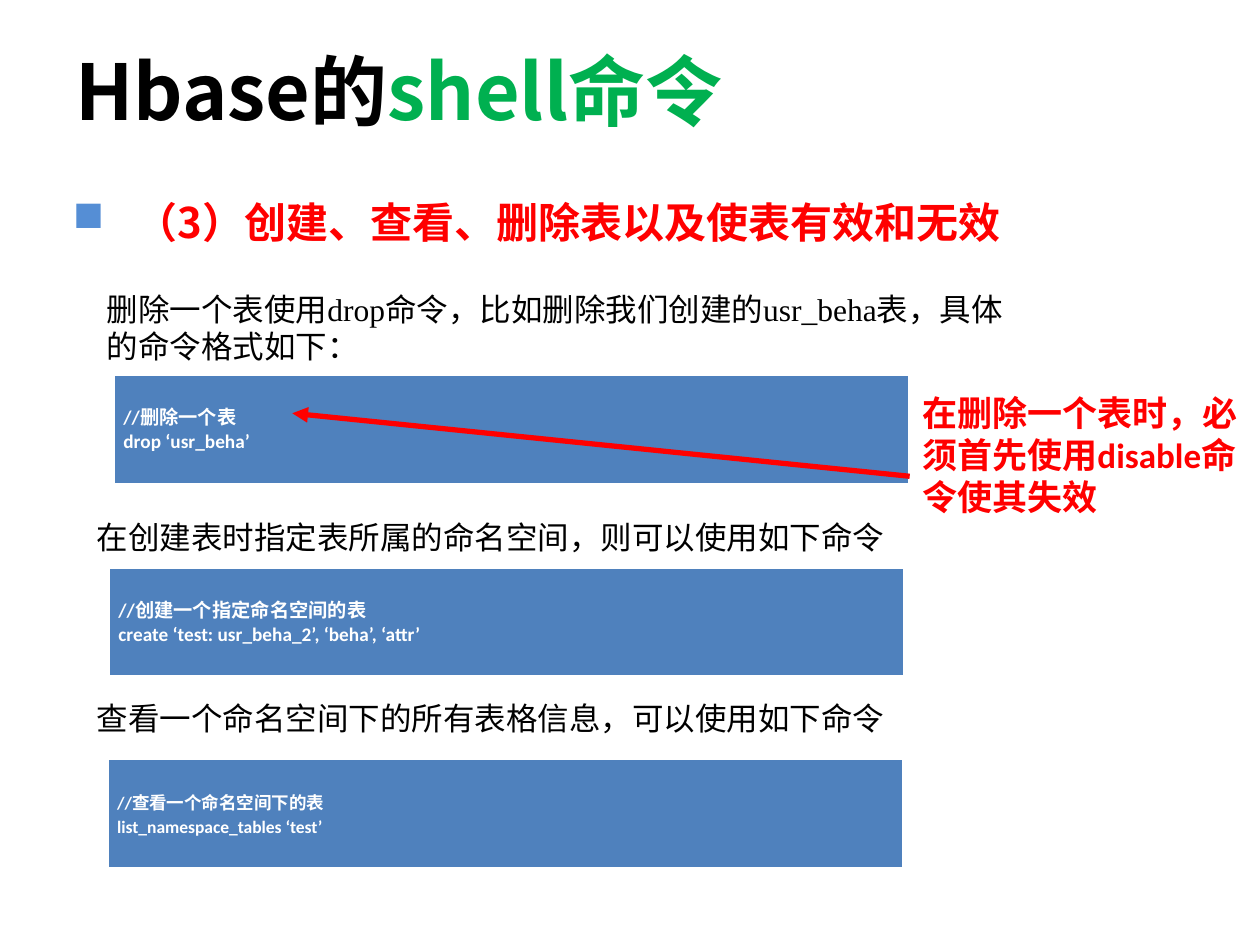
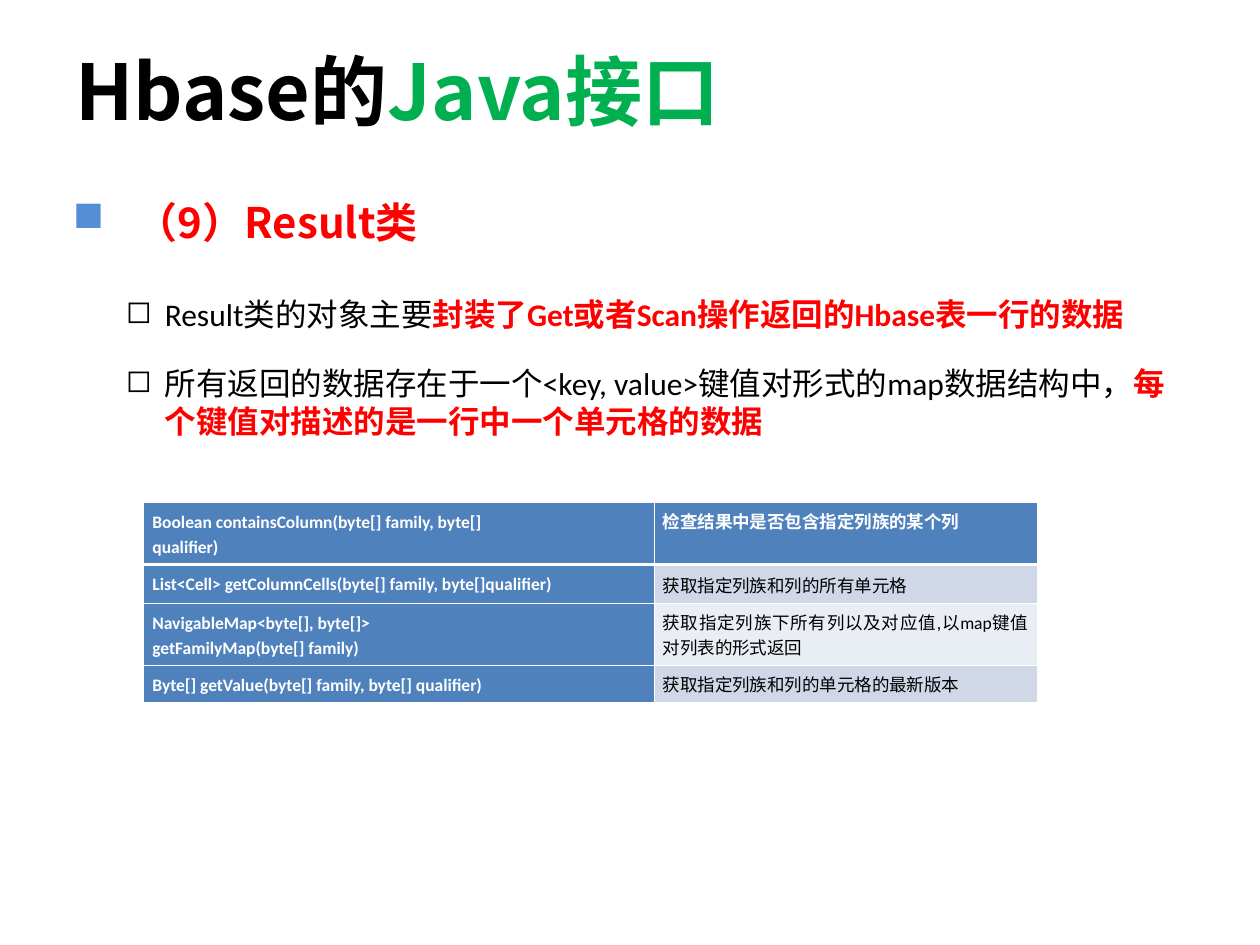
from dataclasses import dataclass

from lxml import etree
from pptx import Presentation
from pptx.dml.color import RGBColor
from pptx.enum.lang import MSO_LANGUAGE_ID
from pptx.enum.shapes import MSO_CONNECTOR
from pptx.enum.text import MSO_ANCHOR, PP_ALIGN
from pptx.oxml.ns import qn
from pptx.util import Inches, Pt

STRAIGHT = MSO_CONNECTOR.STRAIGHT
TOP = MSO_ANCHOR.TOP
MIDDLE = MSO_ANCHOR.MIDDLE
JUSTIFY = PP_ALIGN.JUSTIFY
CHINESE = MSO_LANGUAGE_ID.SIMPLIFIED_CHINESE


@dataclass(frozen=True)
class Theme:
    black: str = "000000"
    white: str = "FFFFFF"
    green: str = "00B050"
    red: str = "FF0000"
    bullet_blue: str = "558ED5"
    table_blue: str = "4F81BD"
    band_dark: str = "D0D8E8"
    band_light: str = "E9EDF4"
    heading_font: str = "Noto Sans CJK SC"
    body_font: str = "Calibri"
    prose_font: str = "Times New Roman"
    title_size: float = 44
    heading_size: float = 24
    callout_size: float = 20
    body_size: float = 18
    code_size: float = 11
    small_size: float = 10
    thin_rule: float = 0.45
    heavy_rule: float = 1.47


class Deck:
    def __init__(self, theme):
        self.theme = theme
        self.presentation = Presentation()
        self.presentation.slide_width = Inches(10)
        self.presentation.slide_height = Inches(7.5)
        self.slide = None

    def new_slide(self, topic, heading):
        t = self.theme
        self.slide = self.presentation.slides.add_slide(self.presentation.slide_layouts[6])
        self.bullets(0.48, 1.51, 9.44, 0.5, [[(heading, t.red, True)]], "■",
                     t.bullet_blue, 0.5, t.heading_size, t.heading_font)
        self.text(0.5, 0.3, 9, 1.25, [("Hbase的", t.black, True), (topic, t.green, True)],
                  t.title_size, t.heading_font)

    def frame(self, left, top, width, height):
        box = self.slide.shapes.add_textbox(Inches(left), Inches(top), Inches(width), Inches(height))
        box.text_frame.word_wrap = True
        return box.text_frame

    def add_runs(self, paragraph, pieces, size, face):
        asian_face = self.theme.heading_font if face == self.theme.heading_font else self.theme.body_font
        for words, color, bold in pieces:
            run = paragraph.add_run()
            run.text = words
            font = run.font
            font.size, font.name, font.bold = Pt(size), face, bold
            font.color.rgb = RGBColor.from_string(color)
            font.language_id = CHINESE
            latin = run._r.rPr.find(qn("a:latin"))
            latin.addnext(latin.makeelement(qn("a:ea"), {"typeface": asian_face}))

    def text(self, left, top, width, height, pieces, size, face):
        frame = self.frame(left, top, width, height)
        self.add_runs(frame.paragraphs[0], pieces, size, face)

    def prose(self, left, top, width, height, words):
        t = self.theme
        self.text(left, top, width, height, [(words, t.black, False)], t.body_size, t.prose_font)

    def bullets(self, left, top, width, height, items, mark, mark_color, indent, size, face):
        frame = self.frame(left, top, width, height)
        for index, pieces in enumerate(items):
            paragraph = frame.paragraphs[0] if index == 0 else frame.add_paragraph()
            properties = paragraph._p.get_or_add_pPr()
            properties.set("marL", str(Inches(indent)))
            properties.set("indent", str(-Inches(indent)))
            tint = etree.SubElement(properties, qn("a:buClr"))
            etree.SubElement(tint, qn("a:srgbClr"), val=mark_color)
            etree.SubElement(properties, qn("a:buChar"), char=mark)
            if index:
                paragraph.space_before = Pt(18)
            self.add_runs(paragraph, pieces, size, face)

    def arrow(self, start, end):
        points = [Inches(value) for value in (*start, *end)]
        connector = self.slide.shapes.add_connector(STRAIGHT, *points)
        connector.line.color.rgb = RGBColor.from_string(self.theme.red)
        connector.line.width = Pt(3)
        properties = connector._element.spPr
        etree.SubElement(properties.find(qn("a:ln")), qn("a:tailEnd"), type="triangle")
        etree.SubElement(properties, qn("a:effectLst"))

    def borders(self, cell, row):
        t = self.theme
        heavy = {0: "B", 1: "T"}.get(row)
        properties = cell._tc.get_or_add_tcPr()
        for index, side in enumerate("LRTB"):
            width = t.heavy_rule if side == heavy else t.thin_rule
            edge = properties.makeelement(qn(f"a:ln{side}"), {"w": str(Pt(width))})
            fill = etree.SubElement(edge, qn("a:solidFill"))
            etree.SubElement(fill, qn("a:srgbClr"), val=t.white)
            properties.insert(index, edge)

    def table(self, left, top, widths, heights, rows, size, anchor=TOP):
        t = self.theme
        grid = self.slide.shapes.add_table(
            len(heights), len(widths), Inches(left), Inches(top),
            Inches(sum(widths)), Inches(sum(heights))).table
        grid.first_row = grid.horz_banding = False
        for column, width in zip(grid.columns, widths):
            column.width = Inches(width)
        for r, (height, texts) in enumerate(zip(heights, rows)):
            grid.rows[r].height = Inches(height)
            for c, words in enumerate(texts):
                strong = r == 0 or c == 0
                band = t.band_dark if r % 2 else t.band_light
                cell = grid.cell(r, c)
                cell.fill.solid()
                cell.fill.fore_color.rgb = RGBColor.from_string(t.table_blue if strong else band)
                cell.vertical_anchor = anchor
                cell.margin_left = cell.margin_right = Inches(0.07)
                cell.margin_top = cell.margin_bottom = Inches(0.05)
                self.borders(cell, r)
                for index, line in enumerate(words.split("\n")):
                    frame = cell.text_frame
                    paragraph = frame.paragraphs[0] if index == 0 else frame.add_paragraph()
                    paragraph.alignment = JUSTIFY
                    paragraph.line_spacing = Pt(14)
                    self.add_runs(paragraph, [(line, t.white if strong else t.black, strong)],
                                  size, t.body_font)
        return grid

    def code(self, left, top, words, size):
        self.table(left, top, [6.3], [0.86], [[words]], size, MIDDLE)


def shell_slide(deck):
    t = deck.theme
    deck.new_slide("shell命令", "（3）创建、查看、删除表以及使表有效和无效")
    deck.prose(0.75, 2.25, 7.48, 0.7, "删除一个表使用drop命令，比如删除我们创建的usr_beha表，具体的命令格式如下：")
    deck.code(0.91, 2.98, "//删除一个表\ndrop ‘usr_beha’", t.code_size)
    deck.text(7.22, 3.06, 2.78, 1.44,
              [("在删除一个表时，必须首先使用disable命令使其失效", t.red, True)],
              t.callout_size, t.body_font)
    deck.arrow((7.22, 3.78), (2.32, 3.28))
    deck.prose(0.67, 4.06, 6.69, 0.4, "在创建表时指定表所属的命名空间，则可以使用如下命令")
    deck.code(0.87, 4.51, "//创建一个指定命名空间的表\ncreate ‘test: usr_beha_2’, ‘beha’, ‘attr’", t.code_size)
    deck.prose(0.67, 5.5, 7.17, 0.4, "查看一个命名空间下的所有表格信息，可以使用如下命令")
    deck.code(0.86, 6.03, "//查看一个命名空间下的表\nlist_namespace_tables ‘test’", t.small_size)


def java_slide(deck):
    t = deck.theme
    deck.new_slide("Java接口", "（9）Result类")
    result_points = [
        [("Result类的对象主要", t.black, False),
         ("封装了Get或者Scan操作返回的Hbase表一行的数据", t.red, True)],
        [("所有返回的数据存在于一个<key, value>键值对形式的map数据结构中，", t.black, False),
         ("每个键值对描述的是一行中一个单元格的数据", t.red, True)],
    ]
    deck.bullets(0.9, 2.29, 8.6, 1.8, result_points, "◻", t.black, 0.31, t.body_size, t.body_font)
    methods = [
        ("Boolean containsColumn(byte[] family, byte[]\nqualifier)", "检查结果中是否包含指定列族的某个列"),
        ("List<Cell> getColumnCells(byte[] family, byte[]qualifier)", "获取指定列族和列的所有单元格"),
        ("NavigableMap<byte[], byte[]>\ngetFamilyMap(byte[] family)",
         "获取指定列族下所有列以及对应值,以map键值对列表的形式返回"),
        ("Byte[] getValue(byte[] family, byte[] qualifier)", "获取指定列族和列的单元格的最新版本"),
    ]
    grid = deck.table(1.14, 3.99, [4.05, 3.04], [0.49, 0.3, 0.49, 0.29], methods, t.small_size)
    grid.cell(1, 1).text_frame.paragraphs[0].line_spacing = 1.25


def main():
    deck = Deck(Theme())
    shell_slide(deck)
    java_slide(deck)
    deck.presentation.save("out.pptx")


if __name__ == "__main__":
    main()
